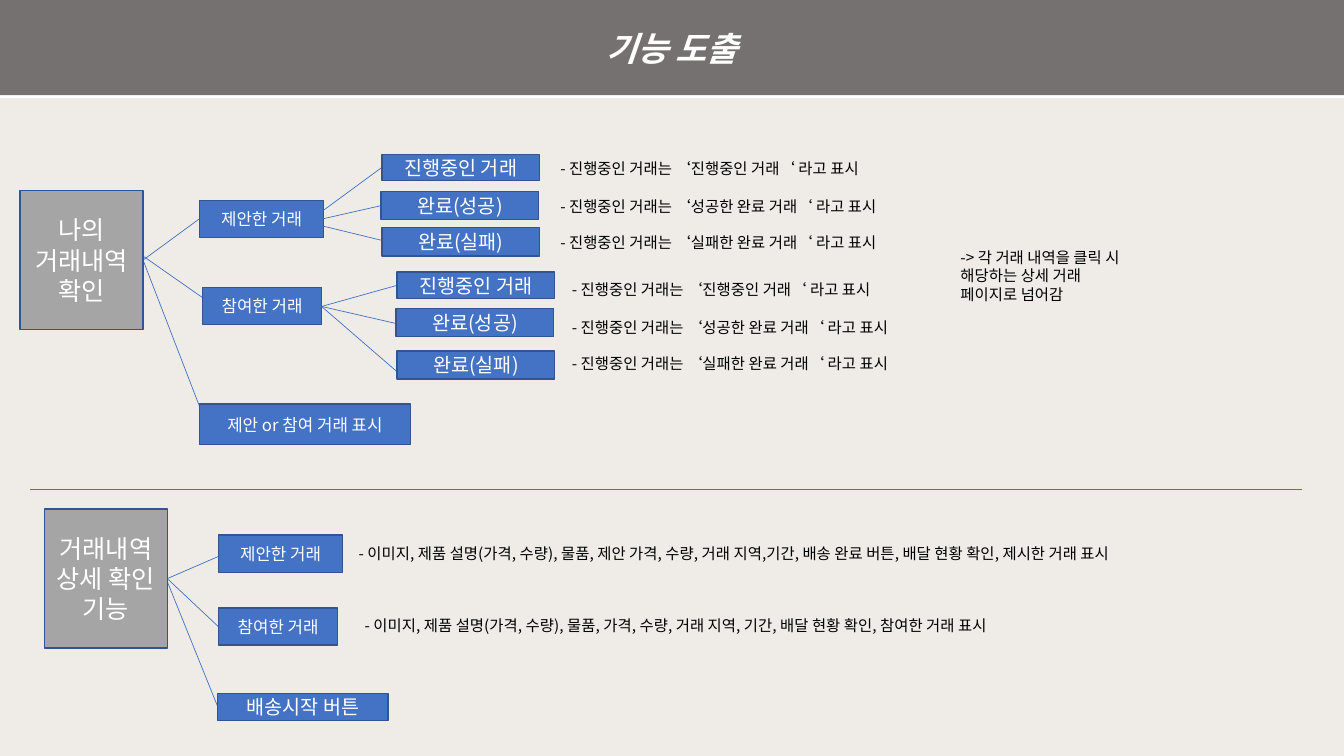
import pptx
import pptx.dml.color
import pptx.enum.shapes
import pptx.enum.text
import pptx.oxml
import pptx.oxml.ns
import pptx.util

Pt = pptx.util.Pt
FONT = "Noto Sans CJK KR"
COLORS = {
    "background": "EFECE7", "header": "767171", "root": "A5A5A5",
    "branch": "4472C4", "border": "325491", "line": "4472C4",
    "white": "FFFFFF", "black": "000000",
}
STATUSES = [
    ("진행중인 거래", "진행중인 거래", 18.7),
    ("완료(성공)", "성공한 완료 거래", 20.2),
    ("완료(실패)", "실패한 완료 거래", 20.2),
]


def rgb(name):
    return pptx.dml.color.RGBColor.from_string(COLORS[name])


def write(sp, text, size=11, color="black", bold=False, italic=False,
          align="LEFT", anchor="TOP"):
    tf = sp.text_frame
    tf.word_wrap = True
    tf.vertical_anchor = pptx.enum.text.MSO_ANCHOR[anchor]
    for i, line in enumerate(text.split("\n")):
        p = tf.add_paragraph() if i else tf.paragraphs[0]
        p.alignment = pptx.enum.text.PP_ALIGN[align]
        r = p.add_run()
        r.text = line
        f = r.font
        f.name, f.size, f.bold, f.italic = FONT, Pt(size), bold, italic
        f.color.rgb = rgb(color)
        ea = pptx.oxml.parse_xml(
            f'<a:ea {pptx.oxml.ns.nsdecls("a")} typeface="{FONT}"/>')
        r._r.rPr.find(pptx.oxml.ns.qn("a:latin")).addnext(ea)


def box(s, x, y, w, h, text, size=12, fill="branch", border="border", **style):
    sp = s.shapes.add_shape(pptx.enum.shapes.MSO_SHAPE.RECTANGLE,
                            Pt(x), Pt(y), Pt(w), Pt(h))
    sp.shadow.inherit = False
    sp.fill.solid()
    sp.fill.fore_color.rgb = rgb(fill)
    if border:
        sp.line.color.rgb = rgb(border)
        sp.line.width = Pt(1)
    else:
        sp.line.fill.background()
    write(sp, text, size=size, color="white", align="CENTER", anchor="MIDDLE", **style)
    return sp


def note(s, x, y, w, text, h=20.9):
    sp = s.shapes.add_textbox(Pt(x), Pt(y), Pt(w), Pt(h))
    write(sp, text)
    sp.text_frame.auto_size = pptx.enum.text.MSO_AUTO_SIZE.SHAPE_TO_FIT_TEXT


def line(s, x1, y1, x2, y2):
    c = s.shapes.add_connector(pptx.enum.shapes.MSO_CONNECTOR.STRAIGHT,
                               Pt(x1), Pt(y1), Pt(x2), Pt(y2))
    c.line.color.rgb = rgb("line")
    c.line.width = Pt(0.5)
    c._element.spPr.append(
        pptx.oxml.parse_xml(f'<a:effectLst {pptx.oxml.ns.nsdecls("a")}/>'))


def header(s, x, y, w, h):
    """Title band with a white edge cast below it."""
    sp = box(s, x, y, w, h, "기능 도출", size=24, fill="header", border=None,
             bold=True, italic=True)
    effects = sp._element.spPr.find(pptx.oxml.ns.qn("a:effectLst"))
    effects.append(pptx.oxml.parse_xml(
        f'<a:outerShdw {pptx.oxml.ns.nsdecls("a")} dist="{Pt(2)}" dir="5400000" '
        f'algn="t" rotWithShape="0"><a:srgbClr val="{COLORS["white"]}"/></a:outerShdw>'))


def tree(s, x, y, root, branches, joints):
    """Root box and its branches; joints are (start y, end x, end y)."""
    for y1, x2, y2 in joints:
        line(s, x + 87.8, y + y1, x + x2, y + y2)
    box(s, x, y, 87.8, 99.4, root, size=18, fill="root")
    for bx, by, w, h, text, size in branches:
        box(s, x + bx, y + by, w, h, text, size=size)


def statuses(s, x, y, tops, starts, ends, note_x, note_y):
    """Three status boxes, the lines leading to them and their notes."""
    for (x1, y1), (x2, y2) in zip(starts, ends):
        line(s, x + x1, y + y1, x + x2, y + y2)
    for i, (label, shown, h) in enumerate(STATUSES):
        box(s, x + (0.7, 0, 0.7)[i], y + tops[i], 112.6, h, label, size=14)
        note(s, x + note_x, y + note_y + (0, 27.3, 52.5)[i], 259,
             f"- 진행중인 거래는 ‘{shown}‘ 라고 표시")


def history(s, x, y):
    tree(s, x, y + 25.9, "나의 거래내역 확인",
         [(128.2, 7.2, 88.6, 26.6, "제안한 거래", 12),
          (130.3, 69.1, 85, 26.6, "참여한 거래", 12),
          (128.2, 152.6, 150.5, 28.8, "제안 or 참여 거래 표시", 12)],
         [(49.7, 128.2, 20.1), (46.8, 136.1, 80.6), (49.7, 130.3, 159.8)])
    statuses(s, x + 257.8, y, (0, 26.6, 52.5),
             [(-41.1, 40), (-41.1, 46), (-41.1, 51.4)],
             [(0.7, 9.3), (0, 36.7), (1.4, 61.7)], 120.9, 0)
    statuses(s, x + 268.6, y + 84.2, (0, 25.9, 56.2), [(-53.3, 24.5)] * 3,
             [(0.7, 9.4), (0, 36.7), (0, 70.6)], 118.4, 2.2)
    note(s, x + 664.6, y + 63.3, 283.7,
         "-> 각 거래 내역을 클릭 시\n해당하는 상세 거래\n페이지로 넘어감", h=47.5)


def detail(s, x, y):
    tree(s, x, y, "거래내역 상세 확인 기능",
         [(124.5, 18.7, 88.6, 26.6, "제안한 거래", 12),
          (124.5, 70.6, 85, 26.6, "참여한 거래", 12),
          (123.8, 131.8, 121.7, 19.4, "배송시작 버튼", 14)],
         [(49.7, 124.5, 33.8), (49.7, 124.5, 84.2), (51.8, 123.8, 141.1)])
    note(s, x + 217.4, y + 21.6, 612.7,
         "- 이미지, 제품 설명(가격, 수량), 물품, 제안 가격, 수량, 거래 지역,기간, "
         "배송 완료 버튼, 배달 현황 확인, 제시한 거래 표시")
    note(s, x + 221.7, y + 72.7, 509.8,
         "- 이미지, 제품 설명(가격, 수량), 물품, 가격, 수량, 거래 지역, 기간, "
         "배달 현황 확인, 참여한 거래 표시")


def main():
    prs = pptx.Presentation()
    prs.slide_width, prs.slide_height = Pt(960), Pt(540)
    s = prs.slides.add_slide(prs.slide_layouts[6])
    s.background.fill.solid()
    s.background.fill.fore_color.rgb = rgb("background")
    header(s, 0, 0, 960, 68)
    history(s, 14.4, 110.2)
    line(s, 21.6, 349.2, 930.2, 349.2)
    detail(s, 31.7, 363.6)
    prs.save("out.pptx")


if __name__ == "__main__":
    main()
